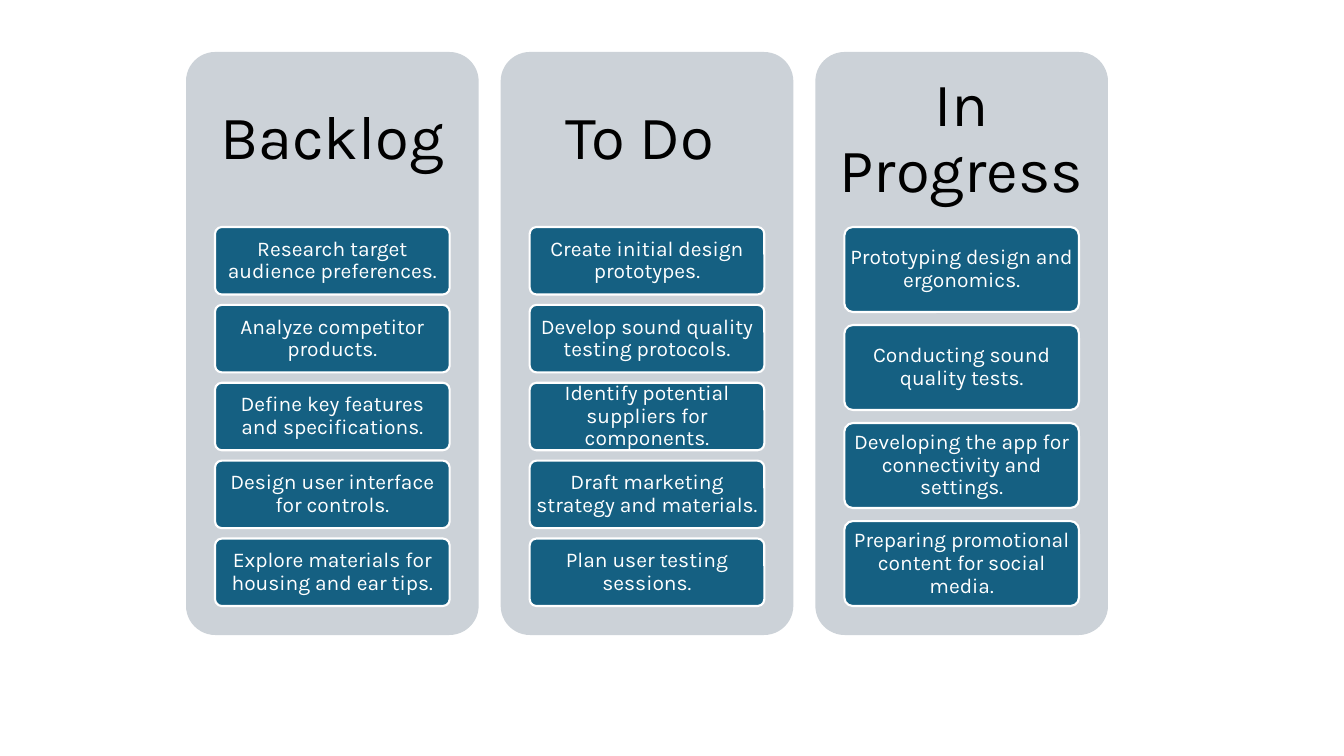
from dataclasses import dataclass

from pptx import Presentation
from pptx.dml.color import RGBColor
from pptx.enum.shapes import MSO_SHAPE
from pptx.enum.text import MSO_ANCHOR, PP_ALIGN
from pptx.util import Emu, Pt

ROUND = MSO_SHAPE.ROUNDED_RECTANGLE
MIDDLE = MSO_ANCHOR.MIDDLE
CENTER = PP_ALIGN.CENTER
SCALE = 914400 / 100.8


@dataclass(frozen=True)
class Theme:
    """Hold the colours and type of the board."""
    font: str = "Karla"
    panel: str = "CCD2D8"
    card: str = "156082"
    white: str = "FFFFFF"
    black: str = "000000"
    head: int = 44
    body: int = 15
    edge: float = 1.5


THEME = Theme()
BOARD = [
    ("Backlog", [
        "Research target audience preferences.",
        "Analyze competitor products.",
        "Define key features and specifications.",
        "Design user interface for controls.",
        "Explore materials for housing and ear tips.",
    ]),
    ("To Do ", [
        "Create initial design prototypes.",
        "Develop sound quality testing protocols.",
        "Identify potential suppliers for components.",
        "Draft marketing strategy and materials.",
        "Plan user testing sessions.",
    ]),
    ("In Progress ", [
        "Prototyping design and ergonomics.",
        "Conducting sound quality tests.",
        "Developing the app for connectivity and settings.",
        "Preparing promotional content for social media.",
    ]),
]


def px(size):
    """Turn pixels into EMU."""
    return Emu(round(size * SCALE))


def place(box):
    """Turn a pixel box into EMU lengths."""
    return [px(size) for size in box]


def write(shape, text, size, color, side, edge):
    """Set centred text with the given side and edge margins."""
    frame = shape.text_frame
    frame.text = text
    frame.word_wrap = True
    frame.vertical_anchor = MIDDLE
    frame.margin_left = frame.margin_right = px(side)
    frame.margin_top = frame.margin_bottom = px(edge)
    line = frame.paragraphs[0]
    line.alignment = CENTER
    line.line_spacing = 0.9
    font = line.runs[0].font
    font.name = THEME.font
    font.size = Pt(size)
    font.color.rgb = RGBColor.from_string(color)


def add_round(slide, box, fill):
    """Add a rounded box without a line."""
    shape = slide.shapes.add_shape(ROUND, *place(box))
    shape.shadow.inherit = False
    shape.adjustments[0] = 0.1
    shape.fill.solid()
    shape.fill.fore_color.rgb = RGBColor.from_string(fill)
    shape.line.fill.background()
    return shape


def add_card(slide, box, text):
    """Add one task card."""
    card = add_round(slide, box, THEME.card)
    card.line.color.rgb = RGBColor.from_string(THEME.white)
    card.line.width = Pt(THEME.edge)
    write(card, text, THEME.body, THEME.white, 3, 3)


def add_cards(slide, box, tasks):
    """Stack the cards evenly, with gaps of 2/13 of a card."""
    left, top, width, height = box
    count = len(tasks)
    tall = height / (count + (count - 1) * 2 / 13)
    step = tall * 15 / 13
    for row, task in enumerate(tasks):
        add_card(slide, (left, top + row * step, width, tall), task)


def add_column(slide, box, title, tasks):
    """Add a panel with its title and cards."""
    left, top, width, height = box
    add_round(slide, box, THEME.panel)
    head = slide.shapes.add_textbox(*place((left, top, width, 175)))
    write(head, title, THEME.head, THEME.black, 18, 18)
    inner = (left + 29, top + 175, width - 58, height - 204)
    add_cards(slide, inner, tasks)


def add_board(slide, box):
    """Set the columns side by side with equal gaps."""
    left, top, width, height = box
    gap = 22
    count = len(BOARD)
    wide = (width - gap * (count - 1)) / count
    for col, (title, tasks) in enumerate(BOARD):
        spot = (left + col * (wide + gap), top, wide, height)
        add_column(slide, spot, title, tasks)


def main():
    """Build and save the slide."""
    deck = Presentation()
    deck.slide_width, deck.slide_height = px(1344), px(756)
    slide = deck.slides.add_slide(deck.slide_layouts[6])
    add_board(slide, (186, 52, 922, 583))
    deck.save("out.pptx")


if __name__ == "__main__":
    main()
